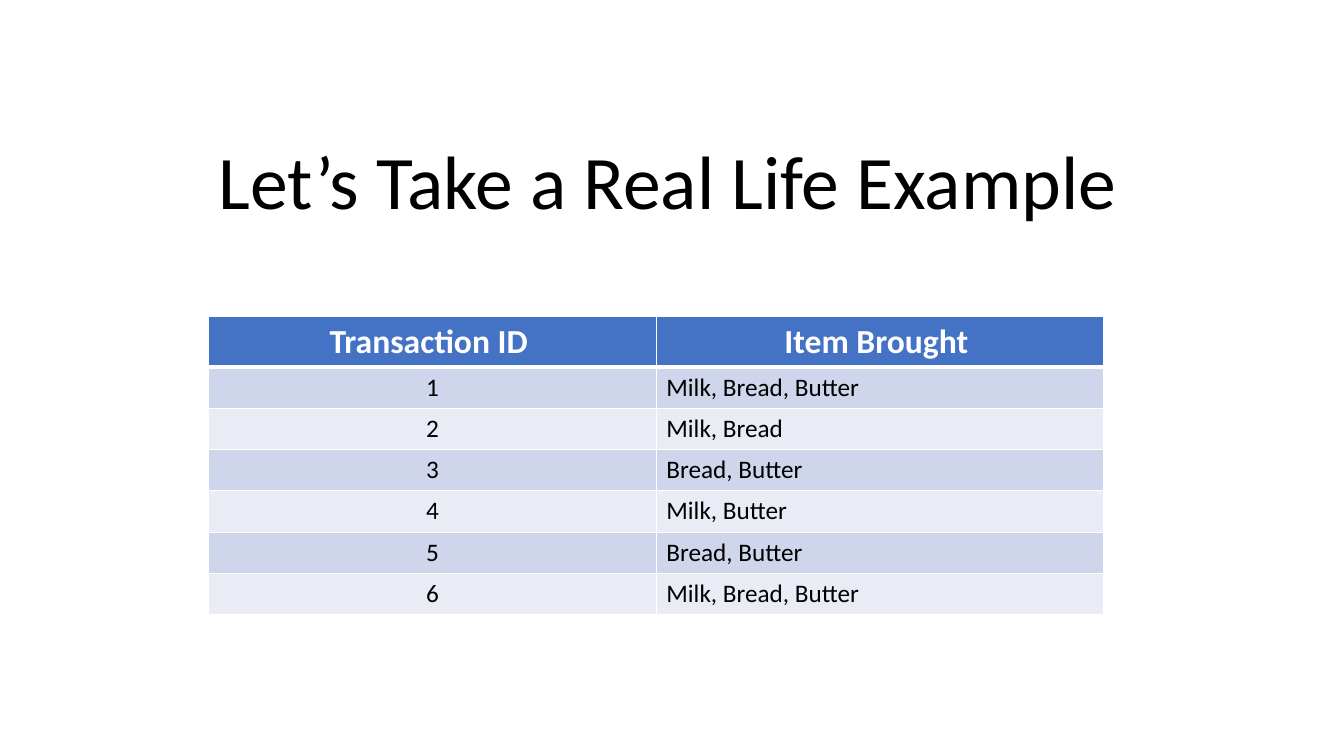
from dataclasses import dataclass

from lxml import etree
from pptx import Presentation
from pptx.dml.color import RGBColor
from pptx.enum import text
from pptx.oxml import ns
from pptx.util import Inches, Pt

TITLE = "Let’s Take a Real Life Example"
HEADS = ("Transaction ID ", "Item Brought ")
BASKETS = [
    "Milk, Bread, Butter",
    "Milk, Bread",
    "Bread, Butter",
    "Milk, Butter",
    "Bread, Butter",
    "Milk, Bread, Butter",
]


@dataclass(frozen=True)
class Theme:
    font: str = "Calibri"
    ink: str = "000000"
    white: str = "FFFFFF"
    head: str = "4472C4"
    bands: tuple = ("CFD5EA", "E9EBF5")
    title_size: int = 54
    head_size: int = 24
    body_size: int = 18
    thin: int = 1
    thick: int = 3


THEME = Theme()
LEFT, TOP = 2.07, 3.14
COL_W, HEAD_H, ROW_H = 4.44, 0.49, 0.41


def style(para, size, color, align, bold=False):
    para.alignment = align
    font = para.font
    font.name, font.size, font.bold = THEME.font, Pt(size), bold
    font.color.rgb = RGBColor.from_string(color)


def edge(cell, side, width):
    """Draw a white border on one side (L, R, T or B) of a cell."""
    props = cell._tc.get_or_add_tcPr()
    line = etree.SubElement(props, ns.qn(f"a:ln{side}"), w=str(Pt(width)))
    fill = etree.SubElement(line, ns.qn("a:solidFill"))
    etree.SubElement(fill, ns.qn("a:srgbClr"), val=THEME.white)


def add_title(slide):
    title = slide.shapes.title
    title.left, title.top = Inches(LEFT), Inches(1.28)
    title.width, title.height = Inches(9.2), Inches(1.01)
    frame = title.text_frame
    frame.text = TITLE
    frame.word_wrap = False
    frame.auto_size = text.MSO_AUTO_SIZE.SHAPE_TO_FIT_TEXT
    frame.vertical_anchor = text.MSO_ANCHOR.TOP
    style(frame.paragraphs[0], THEME.title_size, THEME.ink, text.PP_ALIGN.LEFT)


def add_baskets(slide):
    rows = [HEADS] + [(str(n), items) for n, items in enumerate(BASKETS, 1)]
    height = HEAD_H + ROW_H * len(BASKETS)
    table = slide.shapes.add_table(
        len(rows), len(HEADS), Inches(LEFT), Inches(TOP),
        Inches(COL_W * len(HEADS)), Inches(height)).table
    for col in table.columns:
        col.width = Inches(COL_W)
    for r, row in enumerate(rows):
        head = r == 0
        table.rows[r].height = Inches(HEAD_H if head else ROW_H)
        shade = THEME.head if head else THEME.bands[(r - 1) % 2]
        size = THEME.head_size if head else THEME.body_size
        color = THEME.white if head else THEME.ink
        for c, words in enumerate(row):
            cell = table.cell(r, c)
            cell.text = words
            mid = head or c == 0
            align = text.PP_ALIGN.CENTER if mid else text.PP_ALIGN.LEFT
            style(cell.text_frame.paragraphs[0], size, color, align, head)
            for side in "LRTB":
                thick = (r, side) in ((0, "B"), (1, "T"))
                edge(cell, side, THEME.thick if thick else THEME.thin)
            cell.fill.solid()
            cell.fill.fore_color.rgb = RGBColor.from_string(shade)


def main():
    deck = Presentation()
    deck.slide_width, deck.slide_height = Inches(13.33), Inches(7.5)
    slide = deck.slides.add_slide(deck.slide_layouts[5])
    add_title(slide)
    add_baskets(slide)
    deck.save("out.pptx")


if __name__ == "__main__":
    main()
